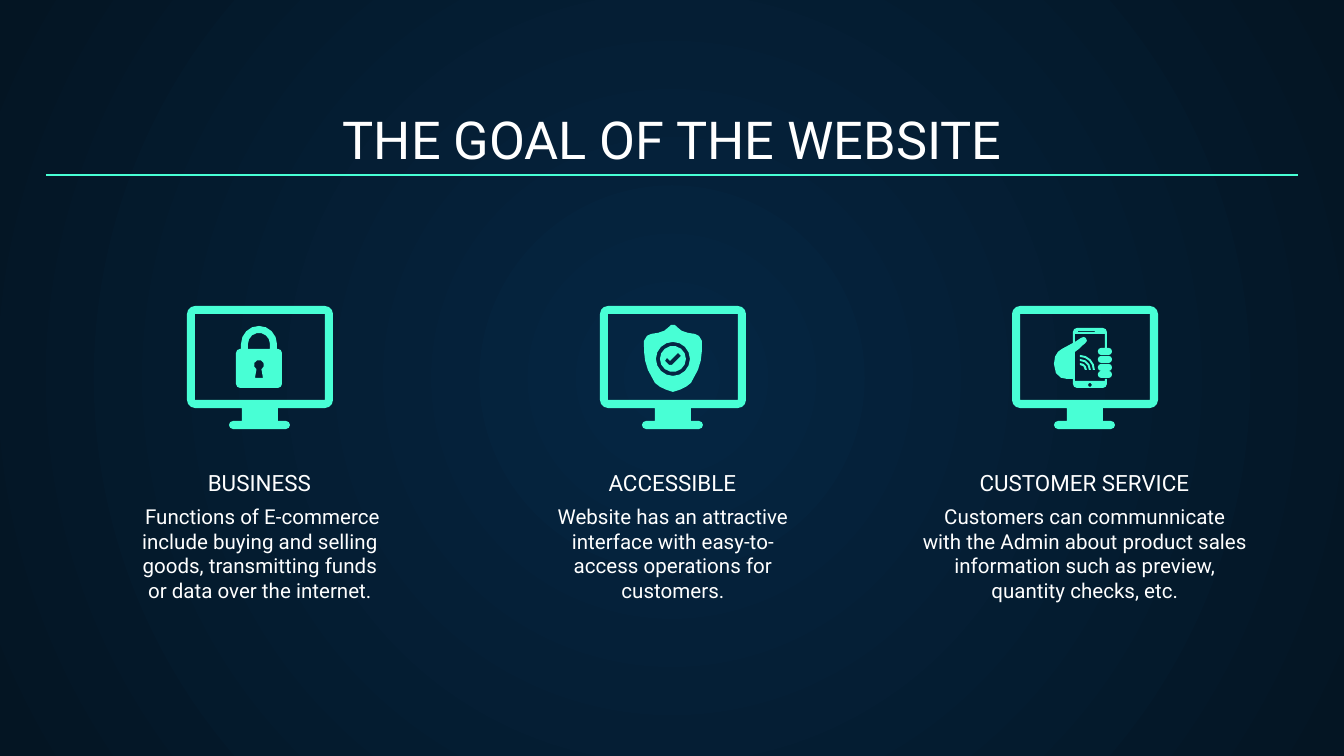
import math
from lxml import etree
from pptx import Presentation
from pptx import util as u
from pptx.dml.color import RGBColor
from pptx.enum import shapes, text
from pptx.oxml.ns import qn

SCALE = 914400 / 134.4
COLORS = {"center": "052643", "edge": "041523", "accent": "48FFD5", "text": "FFFFFF"}


def px(n):
    return u.Emu(round(n * SCALE))


def rgb(name):
    return RGBColor.from_string(COLORS[name])


# Contours: lists of (x, y) points in pixels
def arc(cx, cy, r, start, end):
    steps = max(1, round(abs(end - start) / 90 * math.sqrt(r)))
    angles = [math.radians(start + (end - start) * i / steps) for i in range(steps + 1)]
    return [(cx + r * math.cos(a), cy + r * math.sin(a)) for a in angles]


def circle(cx, cy, r):
    return arc(cx, cy, r, 0, 360)[:-1]


def box(x, y, w, h, r=0):
    if not r:
        return [(x, y), (x + w, y), (x + w, y + h), (x, y + h)]
    return (arc(x + r, y + r, r, 180, 270) + arc(x + w - r, y + r, r, 270, 360)
            + arc(x + w - r, y + h - r, r, 0, 90) + arc(x + r, y + h - r, r, 90, 180))


def curve(a, b, c, d, steps=3):
    pts = []
    for i in range(steps + 1):
        t = i / steps
        k = (1 - t) ** 3, 3 * t * (1 - t) ** 2, 3 * t * t * (1 - t), t ** 3
        pts.append(tuple(sum(f * p[j] for f, p in zip(k, (a, b, c, d))) for j in (0, 1)))
    return pts


class Deck:
    font = "Roboto"

    def __init__(self, w, h):
        self.prs = Presentation()
        self.prs.slide_width, self.prs.slide_height = px(w), px(h)
        self.s = self.prs.slides.add_slide(self.prs.slide_layouts[6])

    def radial_background(self, *names):
        fill = self.s.background.fill
        fill.gradient()
        for stop, name in zip(fill.gradient_stops, names):
            stop.color.rgb = rgb(name)
        lin = next(self.s._element.iter(qn("a:lin")))
        path = etree.Element(qn("a:path"), path="circle")
        etree.SubElement(path, qn("a:fillToRect"), {side: "50000" for side in "ltrb"})
        lin.getparent().replace(lin, path)

    def label(self, words, x, y, w, h, size, anchor=text.MSO_ANCHOR.BOTTOM):
        tf = self.s.shapes.add_textbox(px(x), px(y), px(w), px(h)).text_frame
        tf.word_wrap = True
        tf.vertical_anchor = anchor
        tf.margin_left = tf.margin_right = tf.margin_top = tf.margin_bottom = px(13)
        p = tf.paragraphs[0]
        p.alignment = text.PP_ALIGN.CENTER
        r = p.add_run()
        r.text = words
        r.font.name, r.font.size = self.font, u.Pt(size)
        r.font.color.rgb = rgb("text")

    def outline(self, cx, contours):
        """Fill one freeform; inner contours are holes, x is relative to cx."""
        fb = None
        for contour in contours:
            first, *rest = [(px(cx + x), px(y)) for x, y in contour]
            if fb is None:
                fb = self.s.shapes.build_freeform(*first, scale=1.0)
            else:
                fb.move_to(*first)
            fb.add_line_segments(rest, close=True)
        sp = fb.convert_to_shape()
        sp.shadow.inherit = False
        sp.fill.solid()
        sp.fill.fore_color.rgb = rgb("accent")
        sp.line.fill.background()

    def rule(self, x1, x2, y, width):
        line = self.s.shapes.add_connector(shapes.MSO_CONNECTOR.STRAIGHT,
                                           px(x1), px(y), px(x2), px(y))
        line.line.color.rgb = rgb("accent")
        line.line.width = u.Pt(width)
        etree.SubElement(line._element.spPr, qn("a:effectLst"))


# Icons, each one freeform centred on x = 0
monitor = [box(-73, 306, 146, 102, 8), box(-65, 314, 130, 86),
           box(-18, 408, 36, 13), box(-31, 421, 61, 8, 4)]

padlock = [
    box(-24, 349, 46, 39, 4),
    arc(-1, 344, 18, 180, 360) + [(17, 349), (10, 349)]
    + arc(-1, 344, 11, 0, -180) + [(-12, 349), (-19, 349)],
    arc(-1, 365, 5, 120, 420) + [(3, 378), (-5, 378)],
]

shield_half = (
    [(0, 325), (2, 325)]
    + curve((4, 327), (8, 332), (14, 333), (22, 334))
    + [(26, 336), (29, 341)]
    + curve((29, 344), (29, 351), (29, 361), (25, 370))
    + [(18, 383)]
    + curve((18, 383), (14, 387), (8, 390), (0, 392))[1:])
check = [(5, 353), (8, 356), (-1, 365), (-4, 365), (-8, 361), (-6, 358), (-3, 361)]
shield = [shield_half + [(-x, y) for x, y in reversed(shield_half)],
          circle(0, 359, 17), circle(0, 359, 13), check]

hand_and_phone = (
    [(22, 348)] + arc(18, 332, 4, 0, -90) + arc(-8, 332, 4, -90, -180)
    + [(-12, 343), (-23, 349)]
    + curve((-23, 349), (-27, 351), (-31, 355), (-31, 364))[1:]
    + curve((-31, 364), (-31, 376), (-24, 379), (-18, 379))[1:]
    + [(-12, 379)] + arc(-8, 384, 4, 180, 90) + arc(18, 384, 4, 90, 0)
    + [(22, 379), (20, 379), (20, 381), (-10, 381), (-10, 352), (-6, 349)]
    + curve((-6, 349), (-3, 345), (1, 344), (2, 341))[1:]
    + [(1, 338), (-1, 337), (-4, 338), (-10, 342), (-10, 334), (20, 334), (20, 348)])
fingers = [box(13, y, 14, 7, 3) for y in (348, 356, 364, 371)]
waves = [arc(-5, 370, r, -90, 0) + arc(-5, 370, r - 2, 0, -90) for r in (15, 11, 7)]
phone = [hand_and_phone, box(-7, 331, 17, 1), circle(5, 385, 2)] + fingers + waves

# Slide
deck = Deck(1344, 756)
deck.radial_background("center", "edge")
deck.label("THE GOAL OF THE WEBSITE", 46, 94, 1252, 89, 28)

# Columns: centre, icon, heading, body width, body
columns = [
    (260, padlock, "BUSINESS", 278,
     " Functions of E-commerce include buying and selling goods, "
     "transmitting funds or data over the internet."),
    (673, shield, "ACCESSIBLE", 278,
     "Website has an attractive interface with easy-to-access operations for customers."),
    (1085, phone, "CUSTOMER SERVICE", 352,
     "Customers can communnicate with\u00a0the Admin about product sales "
     "information such as preview, quantity checks, etc."),
]
for cx, icon, heading, width, body in columns:
    deck.label(body, cx - width // 2, 491, width, 74, 11, text.MSO_ANCHOR.TOP)
    deck.label(heading, cx - 153, 481, 305, 28, 12)
    deck.outline(cx, monitor)
    deck.outline(cx, icon)

# Line under the title
deck.rule(46, 1298, 175, 0.75)
deck.prs.save("out.pptx")
